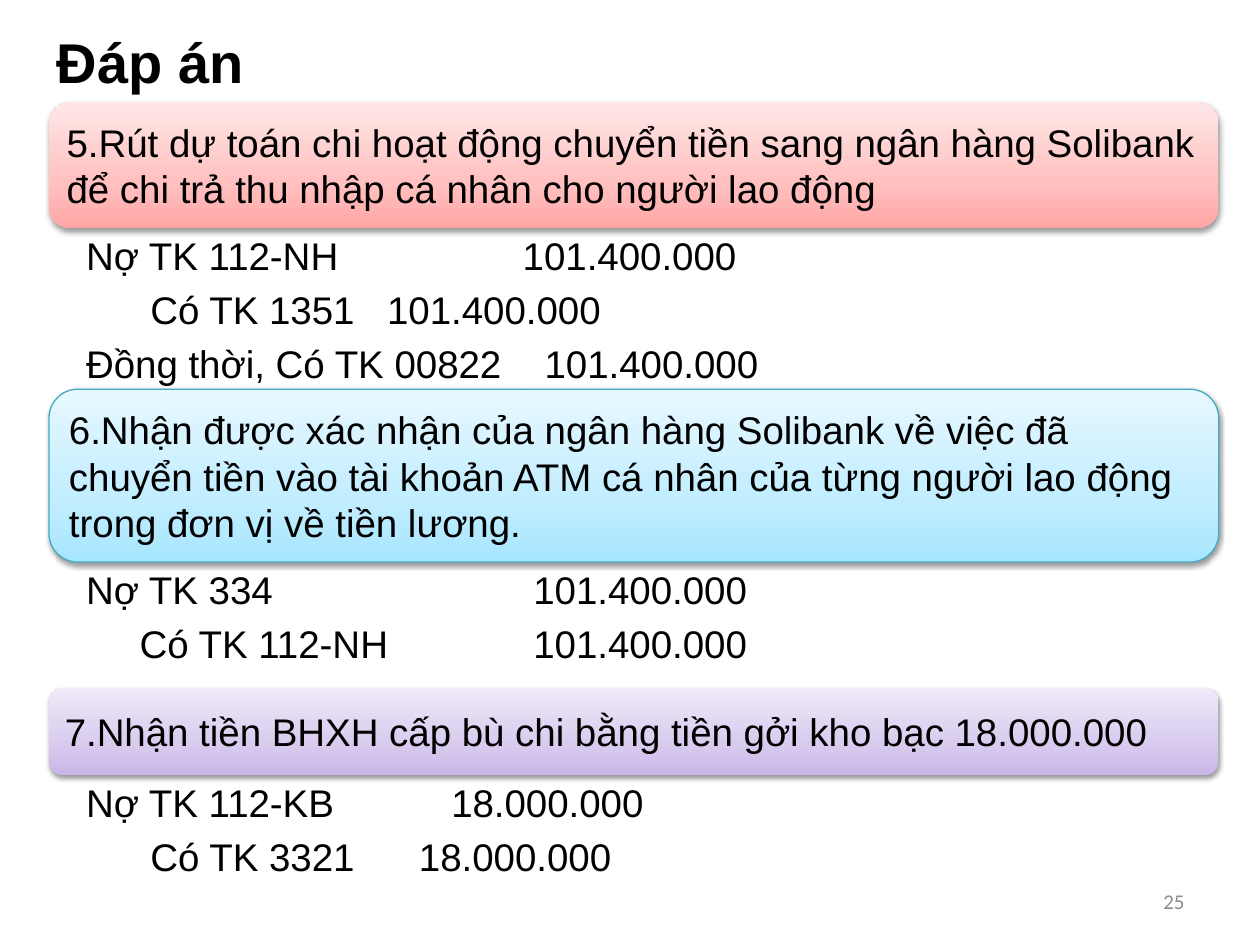
import copy
from dataclasses import dataclass

from lxml import etree
from pptx import Presentation
from pptx.dml.color import RGBColor
from pptx.enum import shapes, text
from pptx.oxml import ns
from pptx.util import Pt


@dataclass(frozen=True)
class Theme:
    font: str = "Arial"
    number_font: str = "Calibri"
    ink: str = "000000"
    muted: str = "8C8C8C"
    title_size: int = 32
    body_size: int = 22
    number_size: int = 12
    red: tuple = ("FFA6A5", "FFC0BF", "FFE7E7")
    blue: tuple = ("A7E6FF", "C1EDFF", "E7F8FF")
    purple: tuple = ("C9B5E8", "D8CBEE", "F0EAF9")
    blue_line: str = "46AAC5"


theme = Theme()


def write(shape, lines, size=theme.body_size, font=theme.font, color=theme.ink,
          bold=False, align=text.PP_ALIGN.LEFT, anchor=text.MSO_ANCHOR.TOP,
          insets=(7.2, 3.6, 7.2, 3.6), space_after=0):
    """Fill a shape with lines; each line is (text, tab stops in points)."""
    frame = shape.text_frame
    frame.word_wrap = True
    frame.auto_size = text.MSO_AUTO_SIZE.NONE
    frame.vertical_anchor = anchor
    frame.margin_left, frame.margin_top, frame.margin_right, frame.margin_bottom = map(Pt, insets)
    for index, (content, stops) in enumerate(lines):
        paragraph = frame.paragraphs[0] if index == 0 else frame.add_paragraph()
        paragraph.text = content
        paragraph.alignment = align
        paragraph.space_after = Pt(space_after)
        if stops:
            tabs = etree.SubElement(paragraph._p.get_or_add_pPr(), ns.qn("a:tabLst"))
            for stop in stops:
                etree.SubElement(tabs, ns.qn("a:tab"), pos=str(Pt(stop)), algn="l")
        paragraph.font.name = font
        paragraph.font.size = Pt(size)
        paragraph.font.bold = bold
        paragraph.font.color.rgb = RGBColor.from_string(color)


def style_banner(shape, colors, line_color):
    """Give a banner its upward gradient, outline and soft shadow."""
    shape.fill.gradient()
    shape.fill.gradient_angle = 90
    stop_list = shape._element.spPr.find(".//" + ns.qn("a:gsLst"))
    stop_list.append(copy.deepcopy(stop_list[0]))
    for stop, position, color in zip(shape.fill.gradient_stops, (0, 0.35, 1), colors):
        stop.position = position
        stop.color.rgb = RGBColor.from_string(color)
    if line_color:
        shape.line.color.rgb = RGBColor.from_string(line_color)
        shape.line.width = Pt(0.75)
    else:
        shape.line.fill.background()
    shape.shadow.inherit = False
    effects = shape._element.spPr.find(ns.qn("a:effectLst"))
    shadow = etree.SubElement(effects, ns.qn("a:outerShdw"), blurRad=str(Pt(3.1)),
                              dist=str(Pt(1.6)), dir="5400000", rotWithShape="0")
    shadow_color = etree.SubElement(shadow, ns.qn("a:srgbClr"), val=theme.ink)
    etree.SubElement(shadow_color, ns.qn("a:alpha"), val="38000")


presentation = Presentation()
presentation.slide_width, presentation.slide_height = Pt(720), Pt(540)
slide = presentation.slides.add_slide(presentation.slide_layouts[5])

# Title
title = slide.shapes.title
title.left, title.top, title.width, title.height = Pt(25.2), Pt(12.2), Pt(360), Pt(46)
write(title, [("Đáp án", ())], size=theme.title_size, bold=True)

# Page number
number = slide.shapes.add_textbox(Pt(516), Pt(500.5), Pt(168), Pt(28.75))
write(number, [("25", ())], size=theme.number_size, font=theme.number_font,
      color=theme.muted, align=text.PP_ALIGN.RIGHT, anchor=text.MSO_ANCHOR.MIDDLE)

# Transactions: banner top and height, colours, outline, statement, entries
LEFT, WIDTH = 28, 668.4
transactions = [
    (58.5, 72, theme.red, None,
     "5.Rút dự toán chi hoạt động chuyển tiền sang ngân hàng Solibank "
     "để chi trả thu nhập cá nhân cho người lao động",
     [("Nợ TK 112-NH\t101.400.000", (249.5,)),
      ("\tCó TK 1351\t101.400.000", (36.7, 172)),
      ("Đồng thời, Có TK 00822\t101.400.000", (262,))]),
    (222.4, 98.8, theme.blue, theme.blue_line,
     "6.Nhận được xác nhận của ngân hàng Solibank về việc đã chuyển tiền vào "
     "tài khoản ATM cá nhân của từng người lao động trong đơn vị về tiền lương.",
     [("Nợ TK 334\t101.400.000", (255.6,)),
      ("\tCó TK 112-NH\t101.400.000", (30.6, 255.6))]),
    (392.9, 50.2, theme.purple, None,
     "7.Nhận tiền BHXH cấp bù chi bằng tiền gởi kho bạc 18.000.000",
     [("Nợ TK 112-KB\t18.000.000", (208.7,)),
      ("\tCó TK 3321\t18.000.000", (36.7, 190.2))]),
]
for top, height, colors, line_color, statement, entries in transactions:
    banner = slide.shapes.add_shape(shapes.MSO_SHAPE.ROUNDED_RECTANGLE,
                                    Pt(LEFT), Pt(top), Pt(WIDTH), Pt(height))
    style_banner(banner, colors, line_color)
    write(banner, [(statement, ())], anchor=text.MSO_ANCHOR.MIDDLE, insets=(6.6,) * 4)

    # Ledger entries directly below the banner
    ledger = slide.shapes.add_textbox(Pt(LEFT), Pt(top + height), Pt(WIDTH),
                                      Pt(31 * len(entries)))
    write(ledger, entries, insets=(21.2, 2.2, 12.2, 2.2), space_after=4.4)

presentation.save("out.pptx")
